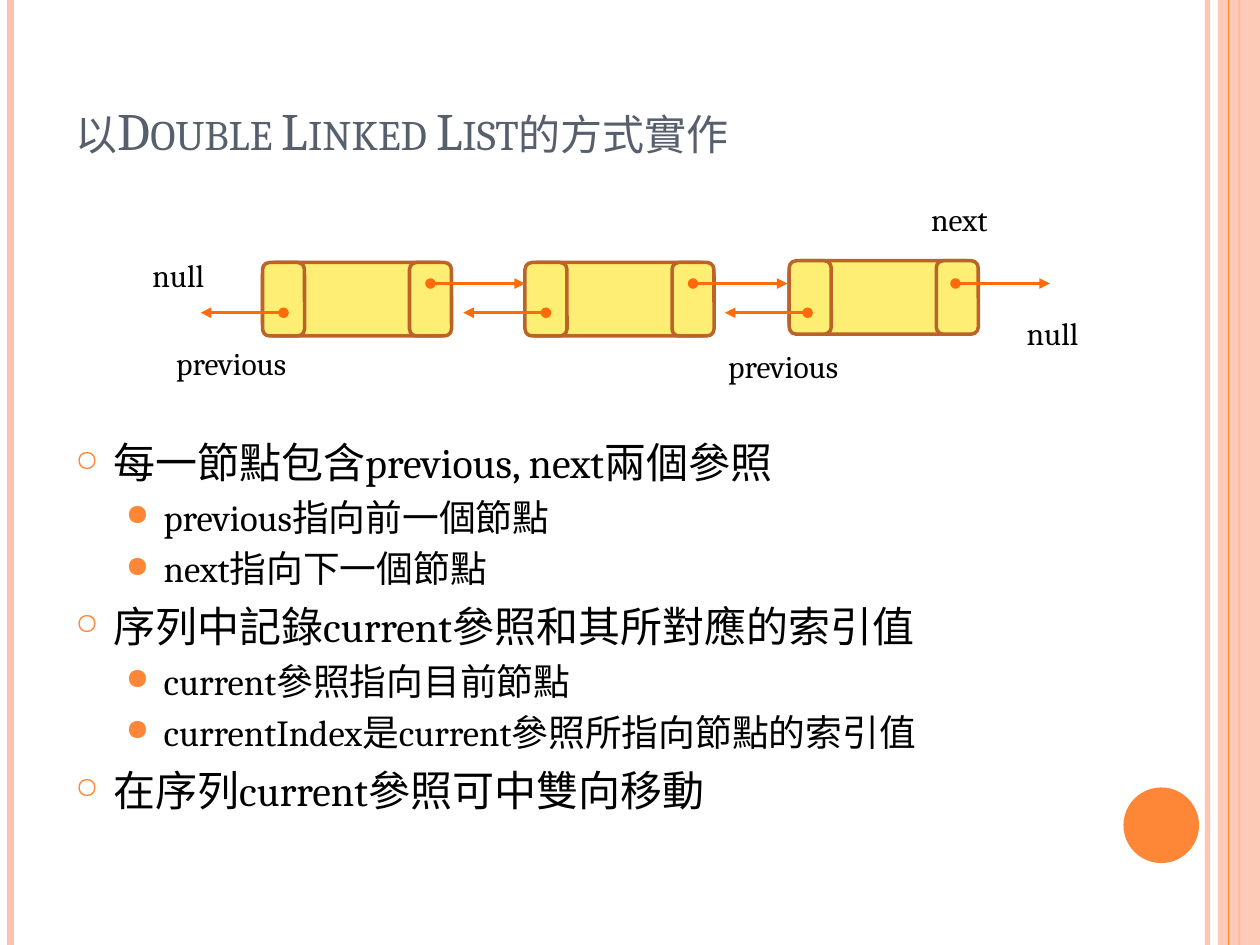
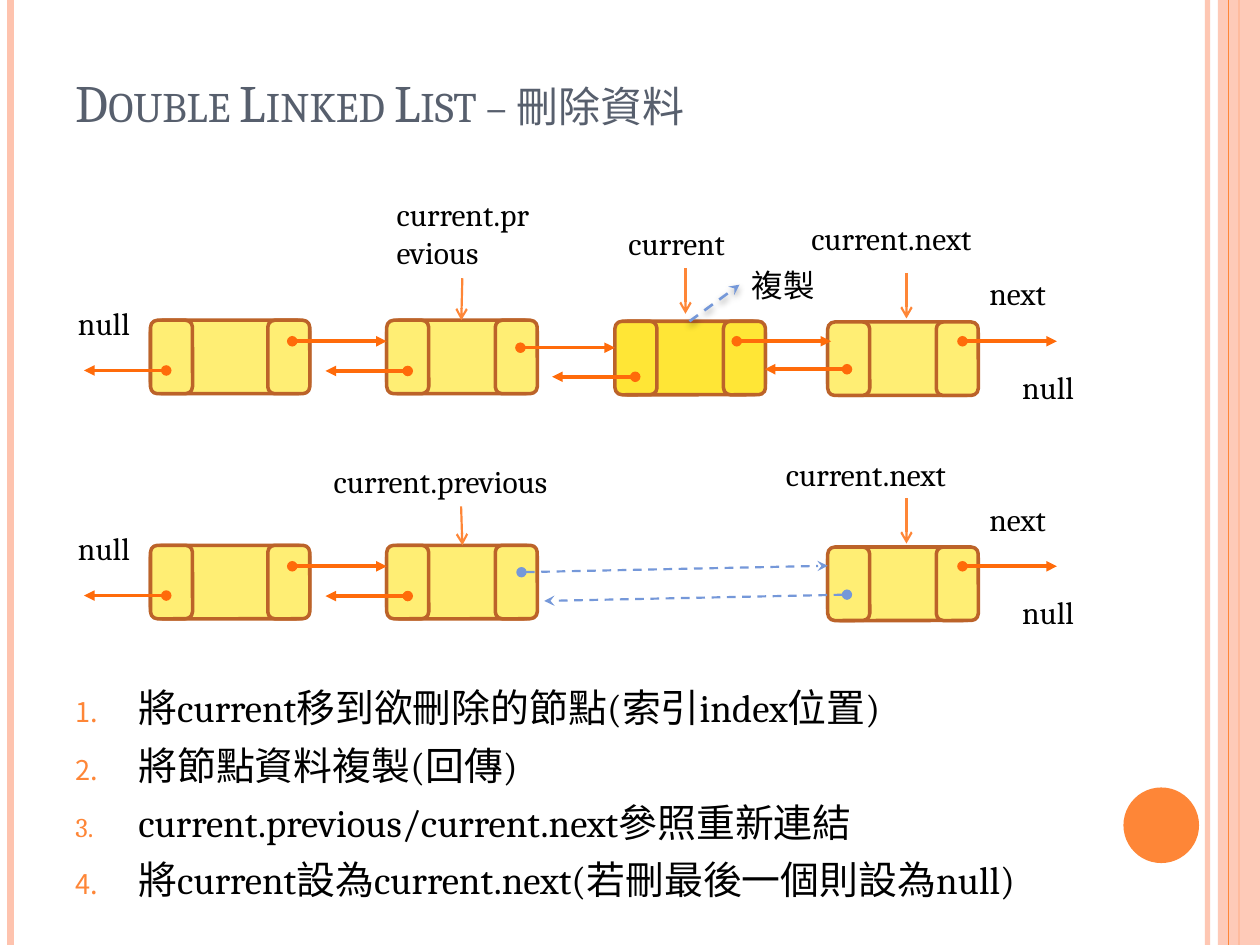
"""Build two slides about deleting from a double linked list."""
from dataclasses import dataclass
from typing import NamedTuple

from lxml.etree import SubElement
from pptx import Presentation
from pptx.dml.color import RGBColor
from pptx.enum.dml import MSO_LINE
from pptx.enum.shapes import MSO_CONNECTOR, MSO_SHAPE
from pptx.enum.text import MSO_ANCHOR, MSO_AUTO_SIZE, PP_ALIGN
from pptx.oxml.ns import qn
from pptx.util import Pt


@dataclass(frozen=True)
class Theme:
    """Colours, font and type sizes of the deck."""
    font: str = "Cambria"
    ink: str = "000000"
    title: str = "575F6D"
    peach: str = "FEC3AE"
    orange: str = "FE8637"
    link: str = "FF6B0A"
    blue: str = "7598D9"
    edge: str = "BC6329"
    node: str = "FFEE74"
    focus: str = "FFE636"
    head: float = 30
    main: float = 24
    sub: float = 21
    step: float = 22.2
    label: float = 18


THEME = Theme()
WIDE, HIGH = 720, 540
NODE_H, LOBE = 42, 24


class Node(NamedTuple):
    """A list node with a lobe at each end."""
    x: float
    y: float
    w: float
    fill: str = THEME.node


class Pen(NamedTuple):
    """The look of a line."""
    color: str
    width: float
    head: str = ""
    tail: str = ""
    dash: bool = False
    alpha: int = 100
    shade: bool = False


class Line(NamedTuple):
    """A line between two points."""
    x1: float
    y1: float
    x2: float
    y2: float
    pen: Pen


class Label(NamedTuple):
    """A short caption."""
    text: str
    x: float
    y: float
    w: float
    h: float = 29


class Item(NamedTuple):
    """A paragraph of the body with its bullet."""
    text: str
    size: float
    left: float
    hang: float
    gap: float
    mark: str
    scale: int


LINK = Pen(THEME.link, 2, "oval", "triangle")
POINT = Pen(THEME.orange, 1.25, tail="arrow")
JOIN = Pen(THEME.blue, 1.25, "oval", "stealth", dash=True)
COPY = Pen(THEME.blue, 1.5, tail="stealth", dash=True, shade=True)
RULES = [
    Line(690, 0, 690, HIGH, Pen(THEME.peach, 3, alpha=93)),
    Line(6, 0, 6, HIGH, Pen(THEME.peach, 4.5)),
    Line(708, 0, 708, HIGH, Pen(THEME.orange, 1.5)),
]
INNER = Line(702, 0, 702, HIGH, Pen(THEME.orange, 0.75))


def fade(shape, alpha: int) -> None:
    """Make the first colour of a shape partly clear."""
    if alpha < 100:
        tint = next(shape.element.spPr.iter(qn("a:srgbClr")))
        SubElement(tint, qn("a:alpha"), val=str(alpha * 1000))


def add_line(slide, item: Line) -> None:
    """Draw a line with its ends, dash and shadow."""
    ends = [Pt(n) for n in item[:4]]
    pen = item.pen
    link = slide.shapes.add_connector(MSO_CONNECTOR.STRAIGHT, *ends)
    link.line.color.rgb = RGBColor.from_string(pen.color)
    link.line.width = Pt(pen.width)
    if pen.dash:
        link.line.dash_style = MSO_LINE.DASH
    fade(link, pen.alpha)
    props = link.element.spPr
    for tag, kind in (("a:headEnd", pen.head), ("a:tailEnd", pen.tail)):
        if kind:
            SubElement(props.find(qn("a:ln")), qn(tag), type=kind)
    fx = SubElement(props, qn("a:effectLst"))
    if pen.shade:
        cast = SubElement(fx, qn("a:outerShdw"), blurRad=str(Pt(4)),
                          dist=str(Pt(2)), dir="5400000", rotWithShape="0")
        tint = SubElement(cast, qn("a:srgbClr"), val=THEME.ink)
        SubElement(tint, qn("a:alpha"), val="40000")


def add_form(slide, kind, x: float, y: float, w: float, h: float,
             fill: str, edge: str = "", alpha: int = 100) -> None:
    """Draw a filled preset shape."""
    form = slide.shapes.add_shape(kind, Pt(x), Pt(y), Pt(w), Pt(h))
    form.shadow.inherit = False
    form.fill.solid()
    form.fill.fore_color.rgb = RGBColor.from_string(fill)
    if edge:
        form.line.color.rgb = RGBColor.from_string(edge)
        form.line.width = Pt(2)
    else:
        form.line.fill.background()
    fade(form, alpha)


def add_node(slide, node: Node) -> None:
    """Draw a node and its two lobes."""
    parts = ((node.x, node.w), (node.x, LOBE), (node.x + node.w - LOBE, LOBE))
    for x, w in parts:
        add_form(slide, MSO_SHAPE.ROUNDED_RECTANGLE, x, node.y, w, NODE_H,
                 node.fill, THEME.edge)


def style(para, size: float, color: str) -> None:
    """Format the runs of a paragraph."""
    for run in para.runs:
        run.font.name = THEME.font
        run.font.size = Pt(size)
        run.font.color.rgb = RGBColor.from_string(color)


def add_label(slide, label: Label) -> None:
    """Write a caption."""
    box = slide.shapes.add_textbox(*(Pt(n) for n in label[1:]))
    frame = box.text_frame
    frame.word_wrap = True
    frame.auto_size = MSO_AUTO_SIZE.SHAPE_TO_FIT_TEXT
    frame.text = label.text
    style(frame.paragraphs[0], THEME.label, THEME.ink)


def add_body(slide, top: float, high: float, items: list[Item]) -> None:
    """Write the list of points under the diagram."""
    box = slide.shapes.add_textbox(Pt(36), Pt(top), Pt(588), Pt(high))
    frame = box.text_frame
    frame.word_wrap = True
    frame.text = "\n".join(item.text for item in items)
    for para, item in zip(frame.paragraphs, items):
        style(para, item.size, THEME.ink)
        para.space_before = Pt(item.gap)
        props = para._p.get_or_add_pPr()
        props.set("marL", str(Pt(item.left)))
        props.set("indent", str(-Pt(item.hang)))
        tint = SubElement(props, qn("a:buClr"))
        SubElement(tint, qn("a:srgbClr"), val=THEME.orange)
        SubElement(props, qn("a:buSzPct"), val=str(item.scale * 1000))
        if item.mark == "1.":
            SubElement(props, qn("a:buAutoNum"), type="arabicPeriod")
        else:
            SubElement(props, qn("a:buChar"), char=item.mark)


def main_item(text: str) -> Item:
    """Make a first-level point."""
    return Item(text, THEME.main, 21.6, 21.6, 6, "○", 70)


def sub_item(text: str) -> Item:
    """Make a second-level point."""
    return Item(text, THEME.sub, 50.4, 21.6, THEME.sub / 5, "●", 80)


def step_item(text: str) -> Item:
    """Make a numbered step."""
    return Item(text, THEME.step, 36, 36, 6, "1.", 70)


def add_slide(deck, title: str, high: float):
    """Add a slide with the shared bands and title."""
    slide = deck.slides.add_slide(deck.slide_layouts[5])
    for rule in RULES:
        add_line(slide, rule)
    add_form(slide, MSO_SHAPE.RECTANGLE, 696, 0, 24, HIGH, THEME.peach, alpha=87)
    add_line(slide, INNER)
    add_form(slide, MSO_SHAPE.OVAL, 642, 450, 43.2, 43.2, THEME.orange)
    head = slide.shapes.title
    head.left, head.top, head.width, head.height = Pt(36), Pt(21.6), Pt(588), Pt(high)
    frame = head.text_frame
    frame.text = title
    frame.word_wrap = True
    frame.auto_size = MSO_AUTO_SIZE.NONE
    frame.vertical_anchor = MSO_ANCHOR.BOTTOM
    para = frame.paragraphs[0]
    para.alignment = PP_ALIGN.LEFT
    style(para, THEME.head, THEME.title)
    for run in para.runs:
        run.font._element.set("cap", "small")
    return slide


def draw(slide, nodes: list[Node], lines: list[Line], labels: list[Label]) -> None:
    """Draw a diagram from back to front."""
    for node in nodes:
        add_node(slide, node)
    for line in lines:
        add_line(slide, line)
    for label in labels:
        add_label(slide, label)


def add_row(slide, y: float) -> None:
    """Draw what the lists before and after the deletion share."""
    nodes = [Node(86, y, 91), Node(221, y, 86), Node(473, y + 1, 86)]
    lines = [Line(167, y + 12, 221, y + 12, LINK),
             Line(233, y + 29, 186, y + 29, LINK),
             Line(95, y + 28.7, 48, y + 28.7, LINK),
             Line(550, y + 12, 604, y + 12, LINK),
             Line(518, y - 27, 518, y - 1, POINT)]
    labels = [Label("null", 37.5, y - 13, 72), Label("null", 577, y + 23.8, 72),
              Label("next", 558.3, y - 29.7, 55.5)]
    draw(slide, nodes, lines, labels)


def show_list(deck) -> None:
    """Build the slide on the structure."""
    slide = add_slide(deck, "以Double Linked List的方式實作", 74.2)
    nodes = [Node(150, 150, 108), Node(300, 150, 108), Node(451, 149, 108)]
    lines = [Line(x, 162, x + 54, 162, LINK) for x in (246, 396, 546)]
    lines += [Line(x, 178.7, x - 47.3, 178.7, LINK) for x in (162, 312, 461.5)]
    labels = [Label("null", 80, 142.5, 72), Label("null", 579.6, 176, 72),
              Label("previous", 93.6, 193, 90), Label("previous", 409, 195, 90),
              Label("next", 525, 110.7, 55.5)]
    draw(slide, nodes, lines, labels)
    add_body(slide, 246.2, 263.5, [
        main_item("每一節點包含previous, next兩個參照"),
        sub_item("previous指向前一個節點"),
        sub_item("next指向下一個節點"),
        main_item("序列中記錄current參照和其所對應的索引值"),
        sub_item("current參照指向目前節點"),
        sub_item("currentIndex是current參照所指向節點的索引值"),
        main_item("在序列current參照可中雙向移動"),
    ])


def show_cut(deck) -> None:
    """Build the slide on deletion."""
    slide = add_slide(deck, "Double Linked List – 刪除資料", 58.3)
    add_row(slide, 183)
    draw(slide, [Node(351.4, 183.6, 86, THEME.focus)], [
        Line(297.4, 198.7, 351.4, 198.7, LINK),
        Line(363, 215.3, 315.5, 215.3, LINK),
        Line(421, 195, 475, 195, LINK),
        Line(484, 211, 437, 211, LINK),
        Line(264.2, 159, 263.6, 183, POINT),
        Line(391.7, 153.4, 391.7, 179.3, POINT),
        Line(394, 183.6, 422.6, 162.7, COPY),
    ], [
        Label("current.previous", 219.6, 108, 90, 51),
        Label("current", 352, 124.6, 90),
        Label("current.next", 456.5, 121.7, 121.7),
        Label("複製", 422.6, 148.3, 55.5),
    ])
    add_row(slide, 311.6)
    draw(slide, [], [
        Line(298, 327, 473, 323.3, JOIN),
        Line(484, 339.8, 311, 343.4, JOIN),
        Line(263.5, 289.4, 264.2, 311.6, POINT),
    ], [
        Label("current.previous", 183.6, 260.6, 160.6),
        Label("current.next", 442, 256.3, 121.7),
    ])
    add_body(slide, 387.4, 122.4, [step_item(text) for text in (
        "將current移到欲刪除的節點(索引index位置)",
        "將節點資料複製(回傳)",
        "current.previous/current.next參照重新連結",
        "將current設為current.next(若刪最後一個則設為null)",
    )])


def main() -> None:
    """Build and save the deck."""
    deck = Presentation()
    deck.slide_width, deck.slide_height = Pt(WIDE), Pt(HIGH)
    show_list(deck)
    show_cut(deck)
    deck.save("out.pptx")


main()
